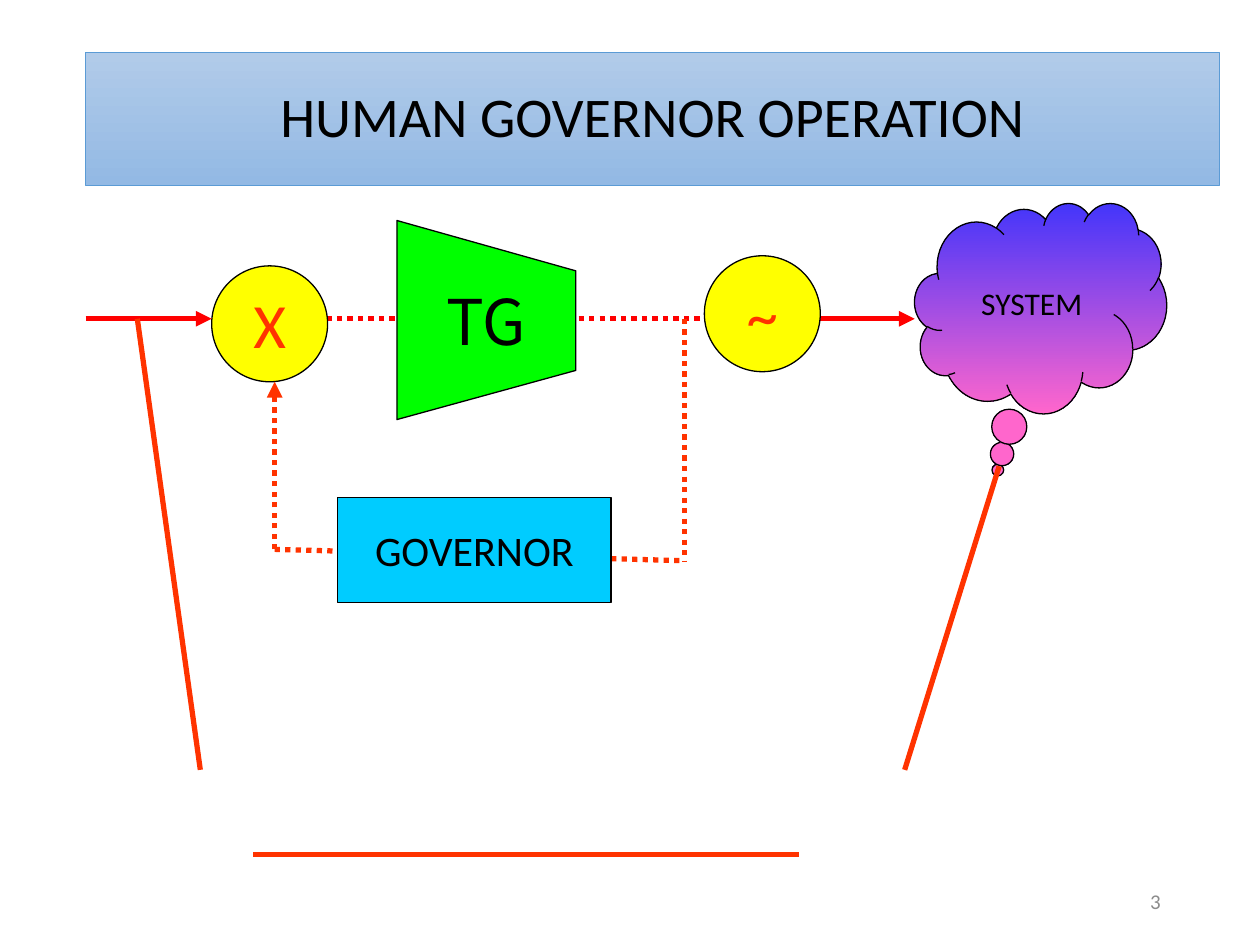
from pptx import Presentation
from pptx.dml.color import RGBColor
from pptx.enum.dml import MSO_LINE
from pptx.enum.shapes import MSO_CONNECTOR, MSO_SHAPE
from pptx.enum.text import MSO_ANCHOR, PP_ALIGN
from pptx.oxml.ns import qn
from pptx.util import Inches, Pt
from lxml.etree import SubElement

BLACK = RGBColor(0x00, 0x00, 0x00)
GRAY = RGBColor(0x8C, 0x8C, 0x8C)
RED = RGBColor(0xFF, 0x00, 0x00)
ORANGE = RGBColor(0xFF, 0x33, 0x00)
YELLOW = RGBColor(0xFF, 0xFF, 0x00)
GREEN = RGBColor(0x00, 0xFF, 0x00)
CYAN = RGBColor(0x00, 0xCC, 0xFF)
VIOLET = RGBColor(0x43, 0x35, 0xFB)
PINK = RGBColor(0xFF, 0x66, 0xCC)
TITLE_TOP = RGBColor(0xB1, 0xCB, 0xE9)
TITLE_BOTTOM = RGBColor(0x93, 0xB9, 0xE4)
TITLE_EDGE = RGBColor(0x5B, 0x9B, 0xD5)


class Diagram:
    font = "Calibri"
    flow_width = 3
    outline_width = 0.75

    def __init__(self, slide):
        self.slide = slide
        self.shapes = slide.shapes

    def label(self, sp, text, size, color=BLACK, align=PP_ALIGN.CENTER, font=None, wrap=False):
        tf = sp.text_frame
        tf.text = text
        tf.word_wrap = wrap
        tf.vertical_anchor = MSO_ANCHOR.MIDDLE
        p = tf.paragraphs[0]
        p.alignment = align
        f = p.runs[0].font
        f.name, f.size, f.color.rgb = font or self.font, Pt(size), color
        return p

    def paint(self, sp, *colors, edge=BLACK, width=outline_width):
        """One colour gives a solid fill, two a top-to-bottom gradient."""
        if len(colors) == 1:
            sp.fill.solid()
            sp.fill.fore_color.rgb = colors[0]
        else:
            sp.fill.gradient()
            sp.fill.gradient_angle = 270
            for stop, color in zip(sp.fill.gradient_stops, colors):
                stop.color.rgb = color
        sp.line.color.rgb = edge
        sp.line.width = Pt(width)

    def title(self, text, x, y, w, h):
        sp = self.shapes.title
        sp.left, sp.top, sp.width, sp.height = map(Inches, (x, y, w, h))
        self.paint(sp, TITLE_TOP, TITLE_BOTTOM, edge=TITLE_EDGE, width=0.5)
        self.label(sp, text, 32, wrap=True).line_spacing = 0.9

    def shape(self, kind, x, y, w, h, colors, text, size, color=BLACK):
        sp = self.shapes.add_shape(kind, *map(Inches, (x, y, w, h)))
        sp.shadow.inherit = False
        self.paint(sp, *colors)
        self.label(sp, text, size, color)
        return sp

    def node(self, text, x, y):
        self.shape(MSO_SHAPE.OVAL, x, y, 0.92, 0.92, [YELLOW], text, 36, ORANGE)

    def outline(self, points, color, text, size, font):
        corners = [(Inches(x), Inches(y)) for x, y in points]
        builder = self.shapes.build_freeform(*corners[0])
        builder.add_line_segments(corners[1:], close=True)
        sp = builder.convert_to_shape()
        sp.shadow.inherit = False
        self.paint(sp, color)
        self.label(sp, text, size, font=font)

    def line(self, start, end, color=ORANGE, dotted=False, arrow=False):
        cx = self.shapes.add_connector(MSO_CONNECTOR.STRAIGHT, *map(Inches, (*start, *end)))
        cx.line.color.rgb = color
        cx.line.width = Pt(self.flow_width)
        if dotted:
            cx.line.dash_style = MSO_LINE.ROUND_DOT
        sp_pr = cx._element.spPr
        if arrow:
            SubElement(sp_pr.get_or_add_ln(), qn("a:tailEnd"), type="triangle")
        SubElement(sp_pr, qn("a:effectLst"))

    def page_number(self, text, x, y, w, h):
        box = self.shapes.add_textbox(*map(Inches, (x, y, w, h)))
        self.label(box, text, 12, GRAY, PP_ALIGN.RIGHT, wrap=True)


def main():
    prs = Presentation()
    prs.slide_width, prs.slide_height = Inches(10), Inches(7.5)
    d = Diagram(prs.slides.add_slide(prs.slide_layouts[5]))
    d.title("HUMAN GOVERNOR OPERATION", 0.68, 0.42, 9, 1.05)

    # Levels and columns shared by the flow lines
    main_y, feedback_y = 2.53, 4.45
    valve_x, speed_x = 2.18, 5.43

    # Lines that run behind the blocks
    d.line((6.26, main_y), (7.26, main_y), RED, arrow=True)
    d.line((valve_x, 4.36), (speed_x, feedback_y), dotted=True)
    d.line((2.59, main_y), (5.59, main_y), RED, dotted=True)

    # Power system, generator, turbine and valve
    cloud = d.shape(MSO_SHAPE.CLOUD_CALLOUT, 7.26, 1.61, 2, 1.67, [VIOLET, PINK], "SYSTEM", 18)
    cloud.adjustments[0], cloud.adjustments[1] = -0.17, 0.77
    d.node("~", 5.59, 2.03)
    d.outline([(3.15, 1.75), (4.57, 2.15), (4.57, 2.94), (3.15, 3.33)],
              GREEN, "TG", 36, "Noto Sans CJK KR")
    d.node("X", 1.68, 2.11)
    d.line((0.68, main_y), (1.68, main_y), RED, arrow=True)

    # Governor feedback loop
    d.shape(MSO_SHAPE.RECTANGLE, 2.68, 3.95, 2.17, 0.83, [CYAN], "GOVERNOR", 24)
    d.line((speed_x, main_y), (speed_x, feedback_y), dotted=True)
    d.line((valve_x, 4.36), (valve_x, 3.03), dotted=True, arrow=True)

    # Human operator links
    d.line((1.09, main_y), (1.59, 6.11))
    d.line((2.01, 6.78), (6.34, 6.78))
    d.line((7.93, 3.7), (7.18, 6.11))

    d.page_number("3", 7.06, 6.95, 2.25, 0.4)
    prs.save("out.pptx")


if __name__ == "__main__":
    main()
